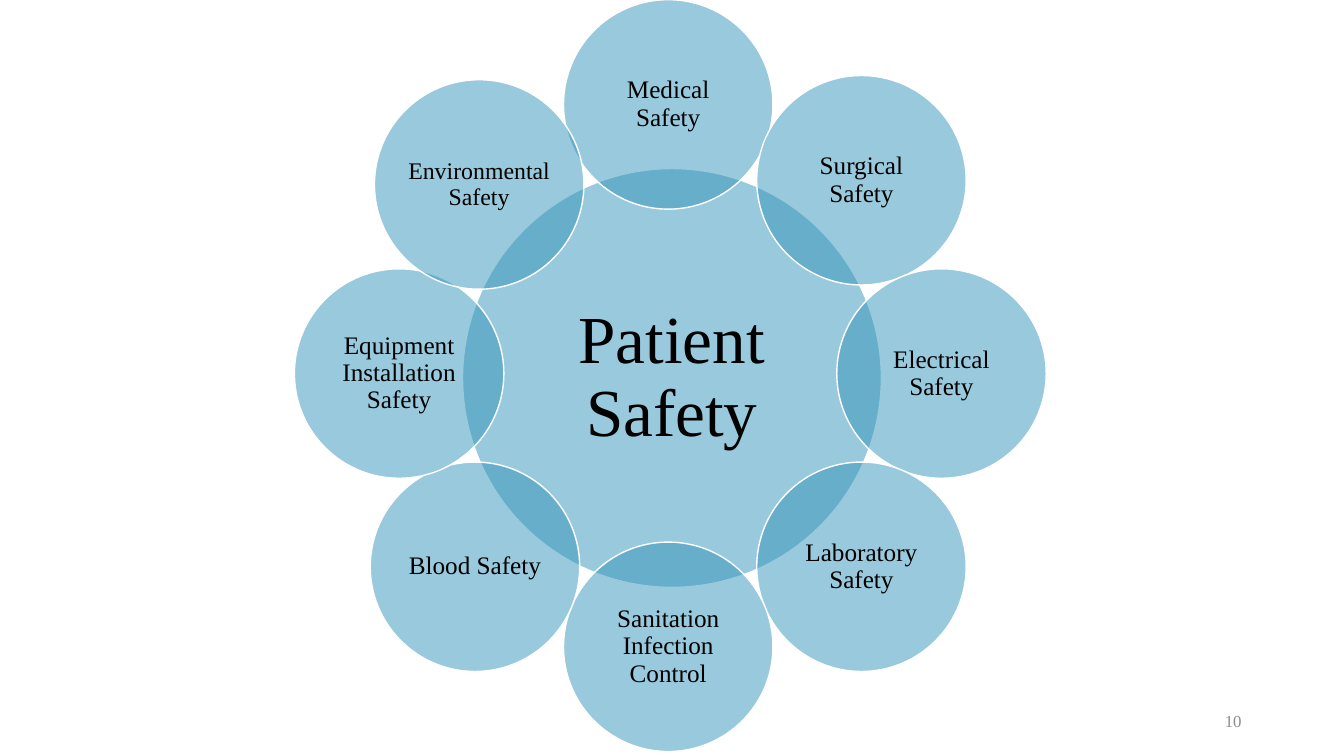
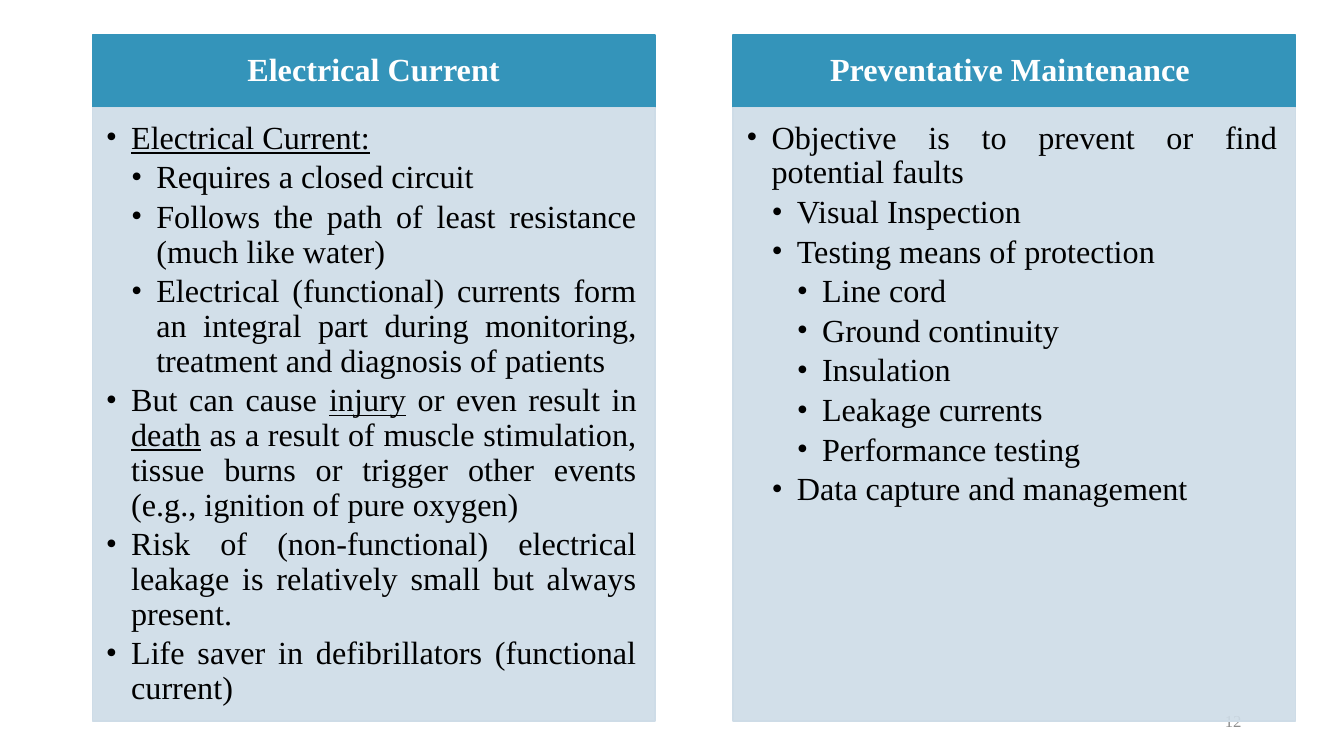
from math import cos, radians, sin

from lxml.etree import SubElement
from pptx import Presentation
from pptx.dml.color import RGBColor
from pptx.enum.shapes import MSO_SHAPE
from pptx.enum.text import MSO_ANCHOR, MSO_AUTO_SIZE, PP_ALIGN
from pptx.oxml.ns import qn
from pptx.util import Pt

BLUE = RGBColor(0x34, 0x94, 0xBA)
PALE_BLUE = RGBColor(0xCE, 0xDC, 0xE7)
WHITE = RGBColor(0xFF, 0xFF, 0xFF)
BLACK = RGBColor(0, 0, 0)
GREY = RGBColor(0x8C, 0x8C, 0x8C)
FONT = "Times New Roman"

BLANK_LAYOUT, COMPARISON_LAYOUT = 6, 4
HEADER_HEIGHT = 52
BULLET_INDENT = 18
LIST_SIZE = 23

# Label, text size, and shift from the regular ring position
SAFETY_AREAS = [
    ("Medical Safety", 18, (0, 3)),
    ("Surgical Safety", 18, (0, 0)),
    ("Electrical Safety", 18, (0, 0)),
    ("Laboratory Safety", 18, (0, 0)),
    ("Sanitation Infection Control", 18, (0, 0)),
    ("Blood Safety", 18, (0, 0)),
    ("Equipment Installation Safety", 18, (3, 0)),
    ("Environmental Safety", 17, (3, 3)),
]

# Level and text; words between underscores are underlined
CURRENT_POINTS = [
    (0, "_Electrical Current:_"),
    (1, "Requires a closed circuit"),
    (1, "Follows the path of least resistance (much like water)"),
    (1, "Electrical (functional) currents form an integral part during "
        "monitoring, treatment and diagnosis of patients"),
    (0, "But can cause _injury_ or even result in _death_ as a result of muscle "
        "stimulation, tissue burns or trigger other events "
        "(e.g., ignition of pure oxygen)"),
    (0, "Risk of (non-functional) electrical leakage is relatively small "
        "but always present."),
    (0, "Life saver in defibrillators (functional current)"),
]
MAINTENANCE_POINTS = [
    (0, "Objective is to prevent or find potential faults"),
    (1, "Visual Inspection"),
    (1, "Testing means of protection"),
    (2, "Line cord"),
    (2, "Ground continuity"),
    (2, "Insulation"),
    (2, "Leakage currents"),
    (2, "Performance testing"),
    (1, "Data capture and management"),
]


def set_bullet(paragraph, level):
    paragraph.level = level
    properties = paragraph._p.get_or_add_pPr()
    properties.set("marL", str(Pt(BULLET_INDENT * (level + 1))))
    properties.set("indent", str(-Pt(BULLET_INDENT)))
    SubElement(properties, qn("a:buFont")).set("typeface", FONT)
    SubElement(properties, qn("a:buChar")).set("char", "•")


def remove_bullet(paragraph):
    properties = paragraph._p.get_or_add_pPr()
    properties.set("marL", "0")
    properties.set("indent", "0")
    SubElement(properties, qn("a:buNone"))


def write_text(paragraph, text, size=18, color=BLACK, bold=False,
               align=PP_ALIGN.CENTER, level=None, line_spacing=0.9, space_after=0):
    """Write text into a paragraph, underlining what stands between underscores."""
    if level is None:
        remove_bullet(paragraph)
    else:
        set_bullet(paragraph, level)
    paragraph.alignment = align
    paragraph.line_spacing = line_spacing
    paragraph.space_before = Pt(0)
    paragraph.space_after = Pt(space_after)
    for position, part in enumerate(text.split("_")):
        if not part:
            continue
        run = paragraph.add_run()
        run.text = part
        run.font.name = FONT
        run.font.size = Pt(size)
        run.font.bold = bold
        run.font.underline = position % 2 == 1
        run.font.color.rgb = color


def set_frame(shape, insets, anchor=MSO_ANCHOR.MIDDLE):
    """Set insets (left, top, right, bottom) and anchor; return the text frame."""
    frame = shape.text_frame
    frame.word_wrap = True
    frame.auto_size = MSO_AUTO_SIZE.NONE
    frame.vertical_anchor = anchor
    (frame.margin_left, frame.margin_top,
     frame.margin_right, frame.margin_bottom) = map(Pt, insets)
    return frame


def place(shape, left, top, width, height):
    shape.left, shape.top = Pt(left), Pt(top)
    shape.width, shape.height = Pt(width), Pt(height)


def paint(shape, fill, line, opacity=100):
    shape.fill.solid()
    shape.fill.fore_color.rgb = fill
    shape.line.color.rgb = line
    shape.line.width = Pt(1)
    if opacity < 100:
        color = shape._element.spPr.find(qn("a:solidFill")).find(qn("a:srgbClr"))
        SubElement(color, qn("a:alpha")).set("val", str(opacity * 1000))


def add_slide_number(slide, number):
    """Place the page number behind everything else."""
    box = slide.shapes.add_textbox(Pt(678), Pt(500.5), Pt(216), Pt(28.8))
    frame = set_frame(box, (7.2, 3.6, 7.2, 3.6))
    write_text(frame.paragraphs[0], str(number), size=12, color=GREY,
               align=PP_ALIGN.RIGHT, line_spacing=1)
    slide.shapes._spTree.insert(2, box._element)


def add_circle(slide, center_x, center_y, diameter, label, size, inset):
    circle = slide.shapes.add_shape(
        MSO_SHAPE.OVAL, Pt(center_x - diameter / 2), Pt(center_y - diameter / 2),
        Pt(diameter), Pt(diameter))
    circle.shadow.inherit = False
    paint(circle, BLUE, WHITE, opacity=50)
    frame = set_frame(circle, [inset] * 4)
    write_text(frame.paragraphs[0], label, size=size)


def add_safety_ring(slide, left, top, size):
    """Draw a hub with a ring of circles in a square box."""
    diameter = size * 0.277
    radius = (size - diameter) / 2
    center_x, center_y = left + size / 2, top + size / 2
    add_circle(slide, center_x + 2.7, center_y + 3.2, 2 * diameter,
               "Patient Safety", 48, 5)
    step = 360 / len(SAFETY_AREAS)
    for index, (label, text_size, (shift_x, shift_y)) in enumerate(SAFETY_AREAS):
        angle = radians(index * step - 90)
        add_circle(slide, center_x + radius * cos(angle) + shift_x,
                   center_y + radius * sin(angle) + shift_y,
                   diameter, label, text_size, 1.8)


def fill_panel(header, body, box, heading, points):
    """Lay a header band over a bulleted list inside box."""
    left, top, width, height = box
    place(header, left, top, width, HEADER_HEIGHT)
    paint(header, BLUE, BLUE)
    frame = set_frame(header, (12.88, 7.36, 12.88, 7.36))
    write_text(frame.paragraphs[0], heading, size=LIST_SIZE, color=WHITE, bold=True)

    place(body, left, top + HEADER_HEIGHT, width, height - HEADER_HEIGHT)
    paint(body, PALE_BLUE, PALE_BLUE, opacity=90)
    frame = set_frame(body, (9.66, 9.66, 12.88, 14.49), MSO_ANCHOR.TOP)
    for index, (level, text) in enumerate(points):
        paragraph = frame.add_paragraph() if index else frame.paragraphs[0]
        write_text(paragraph, text, size=LIST_SIZE, align=PP_ALIGN.JUSTIFY,
                   level=level, space_after=LIST_SIZE * 0.15)


def build_ring_slide(presentation):
    slide = presentation.slides.add_slide(presentation.slide_layouts[BLANK_LAYOUT])
    add_slide_number(slide, 10)
    add_safety_ring(slide, 207.3, -3.2, 540)


def build_comparison_slide(presentation):
    slide = presentation.slides.add_slide(
        presentation.slide_layouts[COMPARISON_LAYOUT])
    title, *placeholders = slide.placeholders
    title._element.getparent().remove(title._element)
    add_slide_number(slide, 12)
    panels = [("Electrical Current", CURRENT_POINTS),
              ("Preventative Maintenance ", MAINTENANCE_POINTS)]
    for index, (heading, points) in enumerate(panels):
        header, body = placeholders[2 * index:2 * index + 2]
        fill_panel(header, body, (66 + index * 457.5, 25, 402, 490), heading, points)


def main():
    presentation = Presentation()
    presentation.slide_width, presentation.slide_height = Pt(960), Pt(540)
    build_ring_slide(presentation)
    build_comparison_slide(presentation)
    presentation.save("out.pptx")


if __name__ == "__main__":
    main()
